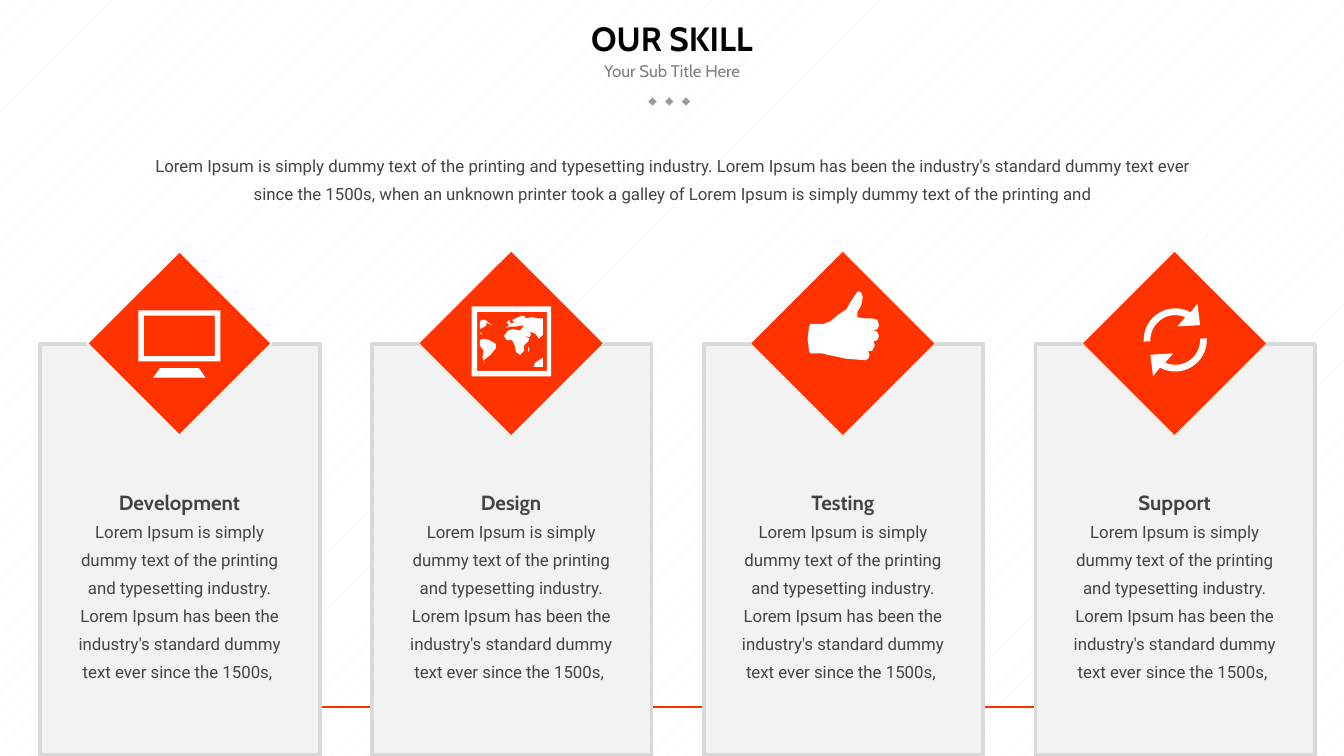
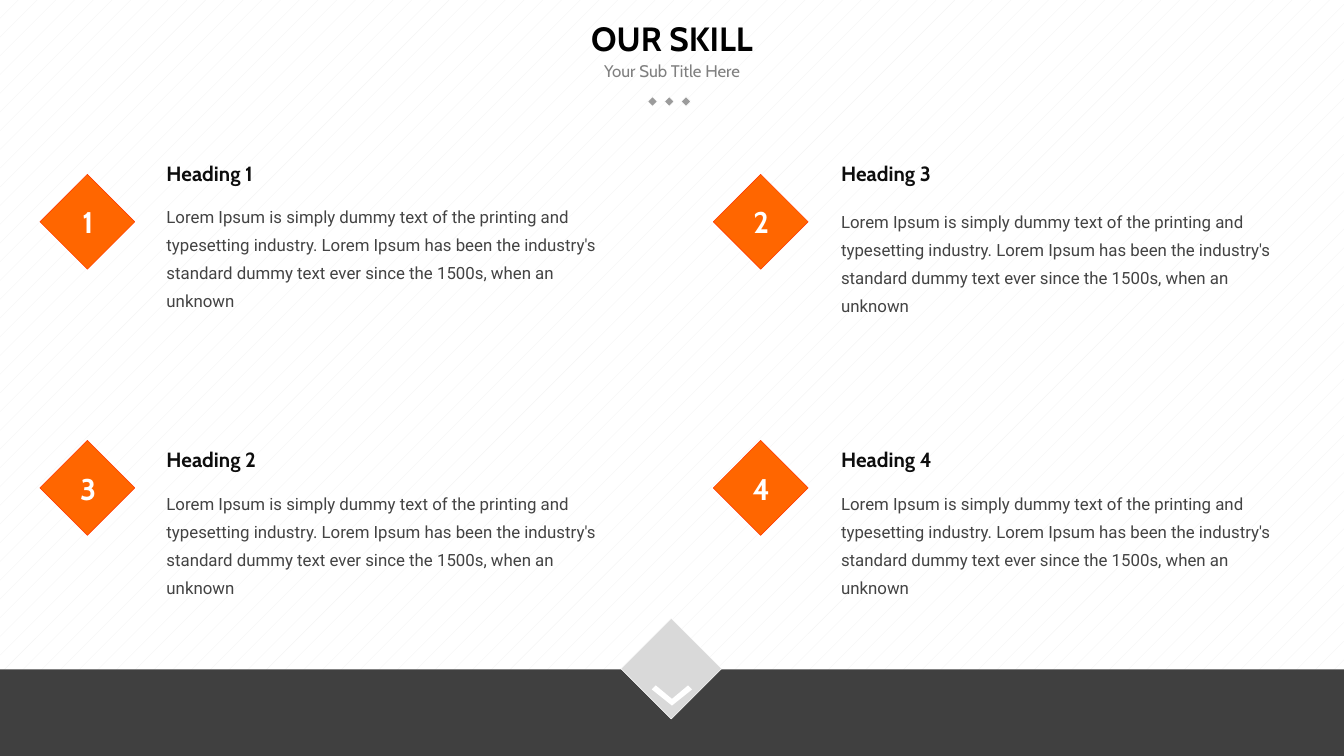
import math

from lxml import etree
from pptx import Presentation
from pptx.dml.color import RGBColor
from pptx.enum import dml, shapes, text
from pptx.oxml.ns import qn
from pptx.util import Inches, Pt

# Shared style
BLACK = RGBColor(0, 0, 0)
WHITE = RGBColor(0xFF, 0xFF, 0xFF)
PALE = RGBColor(0xF2, 0xF2, 0xF2)
SILVER = RGBColor(0xD9, 0xD9, 0xD9)
DOT_GRAY = RGBColor(0x9B, 0x9B, 0x9B)
SUBTITLE_GRAY = RGBColor(0x80, 0x80, 0x80)
BODY_GRAY = RGBColor(0x43, 0x43, 0x43)
HEADING_INK = RGBColor(0x0D, 0x0D, 0x0D)
BAND_GRAY = RGBColor(0x40, 0x40, 0x40)
RED = RGBColor(0xFF, 0x33, 0)
ORANGE = RGBColor(0xFF, 0x66, 0)
RULE_RED = RGBColor(0xF9, 0x32, 0)
BODY = dict(size=9, font="Roboto", color=BODY_GRAY)
HEADING = dict(size=11, font="Cabin", bold=True)
CENTER = text.PP_ALIGN.CENTER
LEFT = text.PP_ALIGN.LEFT
MIDDLE = text.MSO_ANCHOR.MIDDLE

# Content
TITLE = "OUR SKILL"
SUBTITLE = "Your Sub Title Here"
LOREM = "Lorem Ipsum is simply dummy text of the printing and "
STANDARD = (LOREM + "typesetting industry. Lorem Ipsum has been the industry's "
            "standard dummy text ever ")
INTRO = (STANDARD + "since the 1500s, when an unknown printer took a galley of "
         + LOREM.strip())
CARD_BODY = STANDARD + "since the 1500s, "
ITEM_BODY = STANDARD + "since the 1500s, when an unknown"
SKILLS = ["Development", "Design", "Testing", "Support"]
ITEMS = [  # number, heading, column, row, top of body text
    ("1", "Heading 1", 0, 0, 1.43),
    ("2", "Heading 3", 1, 0, 1.47),
    ("3", "Heading 2", 0, 1, 3.57),
    ("4", "Heading 4", 1, 1, 3.57),
]

# Icon outlines, in hundredths of an inch on the slide
MONITOR = ["119,274 114,281 153,281 148,274",
           "103,231 103,269 164,269 164,231",
           "160,265 107,265 107,235 160,235"]
WORLD_MAP = [
    "361,271 360,268 365,264 369,259 369,256 364,253 360,252 357,253 357,257 "
    "360,261 359,266",
    "362,242 362,240 366,242 361,238 358,238 357,240 357,245 359,244",
    "393,262 394,260 393,258",
    "381,253 383,257 384,262 387,264 390,261 390,257 393,254 394,252 392,251 "
    "389,248 391,250 394,251 395,249 394,247 398,248 401,252 404,249 404,237 "
    "401,237 396,236 390,237 391,236 390,235 388,235 381,238 383,240 386,238 "
    "382,240 380,241 379,238 377,240 379,242 376,244 380,243 383,243 390,242 "
    "387,246 382,245 378,246 375,250 377,253",
    "398,270 397,273 404,273 404,266",
    "359,249 357,247 357,248",
    "410,228 351,228 351,280 410,280",
    "407,276 355,276 355,232 407,232",
]
THUMB = [
    "650,246 653,245 654,242 653,238 649,237 644,237 638,236 638,232 641,227 "
    "642,221 641,218 640,217 638,217 636,220 632,226 630,230 624,234 618,239 "
    "613,241 603,241 602,243 601,252 602,261 603,263 612,263 616,264 630,267 "
    "644,268 646,267 647,264 646,261 649,261 651,257 650,254 653,253 654,250 "
    "653,247"]
CHEVRON = ["512,510 500,520 488,510 485,513 500,525 515,513"]


def outline(contours):
    return [[tuple(int(n) / 100 for n in pair.split(",")) for pair in c.split()]
            for c in contours]


def refresh_arrows(cx=8.745, cy=2.53, inner=0.185, outer=0.235):
    """Two arrows around a centre, the second a half turn of the first."""
    def arc(radius, start, end, steps=16):
        angles = [math.radians(start + (end - start) * i / steps)
                  for i in range(steps + 1)]
        return [(cx + radius * math.cos(a), cy - radius * math.sin(a))
                for a in angles]

    arrow = (arc(inner, 66, 183) + arc(outer, 183, 61)
             + [(8.91, 2.26), (8.93, 2.42), (8.76, 2.43)])
    return [arrow, [(2 * cx - x, 2 * cy - y) for x, y in arrow]]


ICONS = [outline(MONITOR), outline(WORLD_MAP), outline(THUMB), refresh_arrows()]


def write(frame, content, size, font, color, bold=False, align=LEFT,
          spacing=None, anchor=text.MSO_ANCHOR.TOP, heading=None):
    """Fill a frame with one paragraph, below an optional heading line."""
    frame.word_wrap = True
    frame.vertical_anchor = anchor
    paragraph = frame.paragraphs[0]
    paragraph.alignment = align
    if spacing:
        paragraph.line_spacing = Pt(spacing)
    parts = [(content, size, font, bold)]
    if heading:
        parts.insert(0, (heading, HEADING["size"], HEADING["font"], True))
    for i, (words, points, face, heavy) in enumerate(parts):
        if i:
            paragraph.add_line_break()
        run = paragraph.add_run()
        run.text = words
        run.font.size, run.font.name, run.font.bold = Pt(points), face, heavy
        run.font.color.rgb = color


def add_text(slide, box, content, grow=True, side=0.1, **style):
    frame = slide.shapes.add_textbox(*map(Inches, box)).text_frame
    frame.margin_left = frame.margin_right = Inches(side)
    write(frame, content, **style)
    frame.auto_size = (text.MSO_AUTO_SIZE.SHAPE_TO_FIT_TEXT if grow
                       else text.MSO_AUTO_SIZE.NONE)


def paint(shape, fill, line=None, width=0.25):
    shape.shadow.inherit = False
    shape.fill.solid()
    shape.fill.fore_color.rgb = fill
    if line is None:
        shape.line.fill.background()
    else:
        shape.line.color.rgb = line
        shape.line.width = Pt(width)


def add_rect(slide, box, fill, line=None, width=0.25, rotation=0):
    rect = slide.shapes.add_shape(shapes.MSO_SHAPE.RECTANGLE, *map(Inches, box))
    rect.rotation = rotation
    paint(rect, fill, line, width)


def add_icon(slide, contours):
    builder = None
    for contour in contours:
        points = [(Inches(x), Inches(y)) for x, y in contour]
        if builder is None:
            builder = slide.shapes.build_freeform(*points[0])
        else:
            builder.move_to(*points[0])
        builder.add_line_segments(points[1:], close=True)
    paint(builder.convert_to_shape(), WHITE)


def new_slide(prs):
    """Patterned background, title, subtitle and three dots."""
    slide = prs.slides.add_slide(prs.slide_layouts[5])
    back = slide.background.fill
    back.patterned()
    back.pattern = dml.MSO_PATTERN.PERCENT_5
    back.fore_color.rgb, back.back_color.rgb = PALE, WHITE

    title = slide.shapes.title
    title.left, title.top, title.width, title.height = map(
        Inches, (0.75, 0, 8.5, 0.56))
    write(title.text_frame, TITLE, size=18, font="Cabin", color=BLACK,
          bold=True, align=CENTER, anchor=MIDDLE)
    title.text_frame.auto_size = text.MSO_AUTO_SIZE.NONE

    for i in range(3):
        add_rect(slide, (4.83 + 0.125 * i, 0.73, 0.05, 0.05), DOT_GRAY, WHITE,
                 rotation=315)
    add_text(slide, (3.75, 0.4, 2.5, 0.25), SUBTITLE, grow=False, size=9,
             font="Cabin", color=SUBTITLE_GRAY, align=CENTER, anchor=MIDDLE)
    return slide


def build_cards(prs):
    slide = new_slide(prs)
    # Rule that runs behind the cards
    rule = slide.shapes.add_connector(
        shapes.MSO_CONNECTOR.STRAIGHT,
        *map(Inches, (0.29, 5.26, 8.48, 5.26)))
    rule.line.color.rgb = RULE_RED
    rule.line.width = Pt(0.75)
    etree.SubElement(rule.element.spPr, qn("a:effectLst"))

    add_text(slide, (1.04, 1.05, 7.92, 0.52), INTRO, align=CENTER, spacing=15,
             **BODY)
    # Cards with a diamond icon on the top edge
    for i, (skill, icon) in enumerate(zip(SKILLS, ICONS)):
        left = 0.3 + 2.468 * i
        add_rect(slide, (left, 2.56, 2.08, 3.06), PALE, SILVER, 2)
        add_text(slide, (left + 0.14, 3.57, 1.79, 1.57), CARD_BODY,
                 heading=skill, align=CENTER, spacing=15, **BODY)
        add_rect(slide, (left + 0.55, 2.07, 0.97, 0.97), RED, WHITE,
                 0.25 if i else 1, rotation=225)
        add_icon(slide, icon)


def build_items(prs):
    slide = new_slide(prs)
    # Numbered items in two columns
    for number, heading, column, row, body_top in ITEMS:
        left = 0.4 + 5.01 * column
        top = 1.4 + 1.98 * row
        text_left = 1.14 + 5.02 * column
        add_text(slide, (text_left, body_top, 3.58, 0.73), ITEM_BODY,
                 spacing=15, **BODY)
        add_text(slide, (text_left, 1.15 + 2.13 * row, 2.25, 0.29), heading,
                 color=HEADING_INK, **HEADING)
        add_rect(slide, (left, top, 0.5, 0.5), ORANGE, RED, rotation=225)
        add_text(slide, (left + 0.12, top + 0.07, 0.27, 0.37), number, side=0,
                 size=16, font="Cabin", color=WHITE, bold=True, align=CENTER)
    # Footer band with chevron
    add_rect(slide, (0, 4.98, 10, 0.65), BAND_GRAY)
    add_rect(slide, (4.73, 4.71, 0.53, 0.53), SILVER, WHITE, rotation=315)
    add_icon(slide, outline(CHEVRON))


def main():
    prs = Presentation()
    prs.slide_width, prs.slide_height = Inches(10), Inches(5.625)
    build_cards(prs)
    build_items(prs)
    prs.save("out.pptx")


if __name__ == "__main__":
    main()
